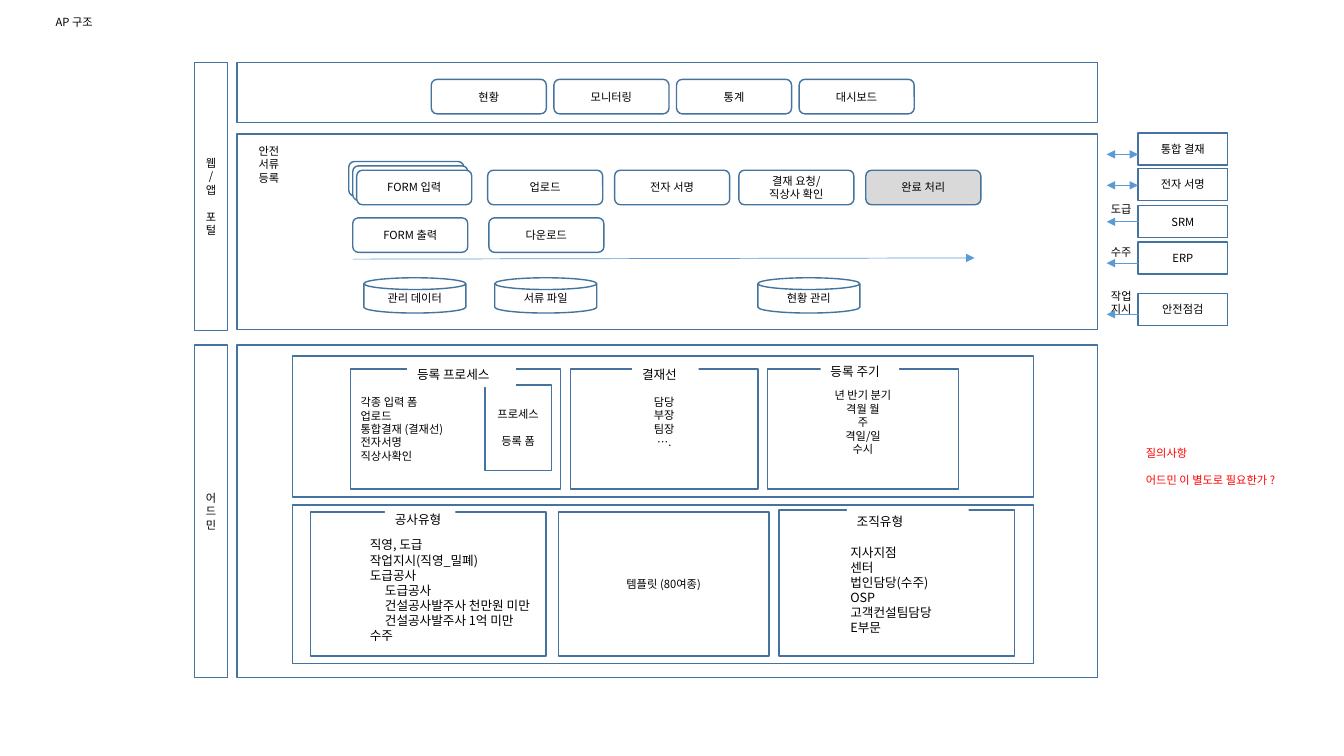
from lxml.etree import SubElement
from pptx import Presentation
from pptx.dml.color import RGBColor
from pptx.enum.shapes import MSO_CONNECTOR, MSO_SHAPE as Kind
from pptx.enum.text import MSO_ANCHOR as Anchor, MSO_AUTO_SIZE as AutoSize, PP_ALIGN as Align
from pptx.oxml.ns import qn
from pptx.util import Cm, Pt

FONT = "Noto Sans CJK KR"
BORDER, ARROW = "43739E", "5B9BD5"
BLACK, WHITE, GREY, RED = "000000", "FFFFFF", "D9D9D9", "FF0000"
LINE_RATIO = 1.2


def color(value):
    return RGBColor.from_string(value)


def write(shape, text, size=8, ink=BLACK, align=Align.CENTER, anchor=Anchor.MIDDLE,
          gap=0, bottom=0.13, indented=()):
    frame = shape.text_frame
    frame.text = text
    frame.word_wrap = True
    frame.auto_size = AutoSize.NONE
    frame.vertical_anchor = anchor
    frame.margin_left = frame.margin_right = Cm(0.25)
    frame.margin_top, frame.margin_bottom = Cm(0.13), Cm(bottom)
    for index, paragraph in enumerate(frame.paragraphs):
        paragraph.alignment = align
        paragraph.line_spacing = Pt(size * LINE_RATIO)
        paragraph.space_before = Pt(gap if index else 0)
        paragraph.space_after = Pt(0)
        properties = paragraph._p.get_or_add_pPr()
        if index in indented:
            paragraph.level = 1
        properties.set("marL", str(Cm(0.38) if index in indented else 0))
        properties.set("indent", "0")
        SubElement(properties, qn("a:buNone"))
        for run in paragraph.runs:
            run.font.size = Pt(size)
            run.font.color.rgb = color(ink)
            run.font.name = FONT
            SubElement(run._r.get_or_add_rPr(), qn("a:ea"), typeface=FONT)


class Board:
    """Draws the elements of one slide in a shared style."""

    def __init__(self, slide):
        self.slide = slide

    def box(self, x, y, width, height, text="", kind=Kind.RECTANGLE, fill=None,
            line=BORDER, **style):
        shape = self.slide.shapes.add_shape(kind, Cm(x), Cm(y), Cm(width), Cm(height))
        shape.shadow.inherit = False
        if fill:
            shape.fill.solid()
            shape.fill.fore_color.rgb = color(fill)
        else:
            shape.fill.background()
        if line:
            shape.line.color.rgb = color(line)
            shape.line.width = Pt(1)
        else:
            shape.line.fill.background()
        if text:
            write(shape, text, **style)

    def button(self, x, y, text="", fill=None):
        self.box(x, y, 2.9, 0.87, text, Kind.ROUNDED_RECTANGLE, fill)

    def store(self, x, text):
        self.box(x, 7, 2.57, 0.89, text, Kind.FLOWCHART_MAGNETIC_DISK)

    def heading(self, x, y, width, text):
        self.box(x, y, width, 0.64, text, fill=WHITE, line=None, size=9,
                 align=Align.LEFT, anchor=Anchor.TOP)

    def label(self, x, y, width, height, text, **style):
        shape = self.slide.shapes.add_textbox(Cm(x), Cm(y), Cm(width), Cm(height))
        write(shape, text, **style)

    def placeholder(self, index, x, y, width, height, text, **style):
        shape = self.slide.placeholders[index]
        shape.left, shape.top = Cm(x), Cm(y)
        shape.width, shape.height = Cm(width), Cm(height)
        write(shape, text, **style)

    def arrow(self, x1, y1, x2, y2, ends):
        connector = self.slide.shapes.add_connector(
            MSO_CONNECTOR.STRAIGHT, Cm(x1), Cm(y1), Cm(x2), Cm(y2))
        connector.line.color.rgb = color(ARROW)
        connector.line.width = Pt(0.5)
        for end in ends:
            SubElement(connector.line._get_or_add_ln(), qn(f"a:{end}"), type="triangle")
        SubElement(connector._element.spPr, qn("a:effectLst"))


presentation = Presentation()
presentation.slide_width, presentation.slide_height = Cm(33.87), Cm(19.05)
board = Board(presentation.slides.add_slide(presentation.slide_layouts[3]))

board.placeholder(0, 0, 0.3, 2.59, 0.5, "AP 구조", align=Align.RIGHT)

for y, height in ((1.57, 1.52), (3.38, 4.93), (8.69, 8.38)):
    board.box(5.97, y, 21.69, height)
for y, height, text in ((1.57, 6.76, "웹/앱\n포털"), (8.69, 8.38, "어드민")):
    board.box(4.9, y, 0.84, height, text, gap=9.6)
for y, height in ((8.97, 3.56), (12.73, 3.99)):
    board.box(7.37, y, 18.67, height)

for column, text in enumerate(("현황", "모니터링", "통계", "대시보드")):
    board.button(10.87 + 3.09 * column, 2, text)

board.label(6.12, 3.12, 1.17, 2.03, "안전 서류 등록", align=Align.RIGHT)
for layer, text in enumerate(("", "", "FORM 입력")):
    board.button(8.79 + 0.1 * layer, 4.07 + 0.11 * layer, text, WHITE)
for x, text, fill in ((12.29, "업로드", None), (15.49, "전자 서명", None),
                      (18.62, "결재 요청/\n직상사 확인", None), (21.82, "완료 처리", GREY)):
    board.button(x, 4.29, text, fill)
for x, text in ((8.89, "FORM 출력"), (12.32, "다운로드")):
    board.button(x, 5.49, text)
board.arrow(8.89, 6.53, 24.56, 6.5, ["tailEnd"])
for x, text in ((9.17, "관리 데이터"), (12.47, "서류 파일"), (19.1, "현황 관리")):
    board.store(x, text)

BOTH, INWARD = ("headEnd", "tailEnd"), ("headEnd",)
for y, system, arrow_y, ends, flow, flow_y in (
        (3.35, "통합 결재", 3.89, BOTH, "", 0),
        (4.24, "전자 서명", 4.67, BOTH, "", 0),
        (5.18, "SRM", 5.59, INWARD, "도급", 4.98),
        (6.1, "ERP", 6.63, INWARD, "수주", 6.05),
        (7.39, "안전점검", 7.92, INWARD, "작업지시", 7.34)):
    board.box(28.68, y, 2.26, 0.81, system)
    board.arrow(27.89, arrow_y, 28.68, arrow_y, ends)
    if flow:
        board.label(27.6, flow_y, 1.17, 0.58, flow, align=Align.RIGHT)

board.box(8.84, 9.3, 5.28, 3.02,
          "각종 입력 폼\n업로드\n통합결재 (결재선)\n전자서명\n직상사확인", align=Align.LEFT)
board.box(12.22, 9.7, 1.68, 2.16, "프로세스\n등록 폼", gap=9.6)
board.box(14.38, 9.3, 4.72, 3.02, "담당\n부장\n팀장\n….", bottom=0.47)
board.box(19.35, 9.3, 4.8, 3.02,
          "년 반기 분기\n격월 월\n주\n격일/일\n수시", bottom=0.47)

board.box(7.82, 12.9, 5.94, 3.63)
board.box(14.07, 12.9, 5.31, 3.63, "템플릿 (80여종)")
board.box(19.63, 12.85, 5.94, 3.68)

for x, y, width, text in ((10.26, 9.12, 2.74, "등록 프로세스"), (15.93, 9.12, 1.68, "결재선"),
                          (20.68, 9.04, 1.98, "등록 주기"), (9.7, 12.78, 1.78, "공사유형"),
                          (21.34, 12.83, 3.07, "조직유형")):
    board.heading(x, y, width, text)

LIST_STYLE = {"size": 9, "align": Align.LEFT, "anchor": Anchor.TOP}
board.placeholder(1, 9.07, 13.41, 5.61, 2.95,
                  "직영, 도급\n작업지시(직영_밀폐)\n도급공사\n도급공사\n"
                  "건설공사발주사 천만원 미만\n건설공사발주사 1억 미만\n수주",
                  indented=(3, 4, 5), **LIST_STYLE)
board.placeholder(2, 21.18, 13.59, 3.07, 2.57,
                  "지사지점\n센터\n법인담당(수주)\nOSP\n고객컨설팀담당\nE부문", **LIST_STYLE)

board.label(28.63, 11.12, 4.7, 1.3, "질의사항\n어드민 이 별도로 필요한가 ?",
            ink=RED, align=Align.LEFT, anchor=Anchor.TOP, gap=9.6)

presentation.save("out.pptx")
